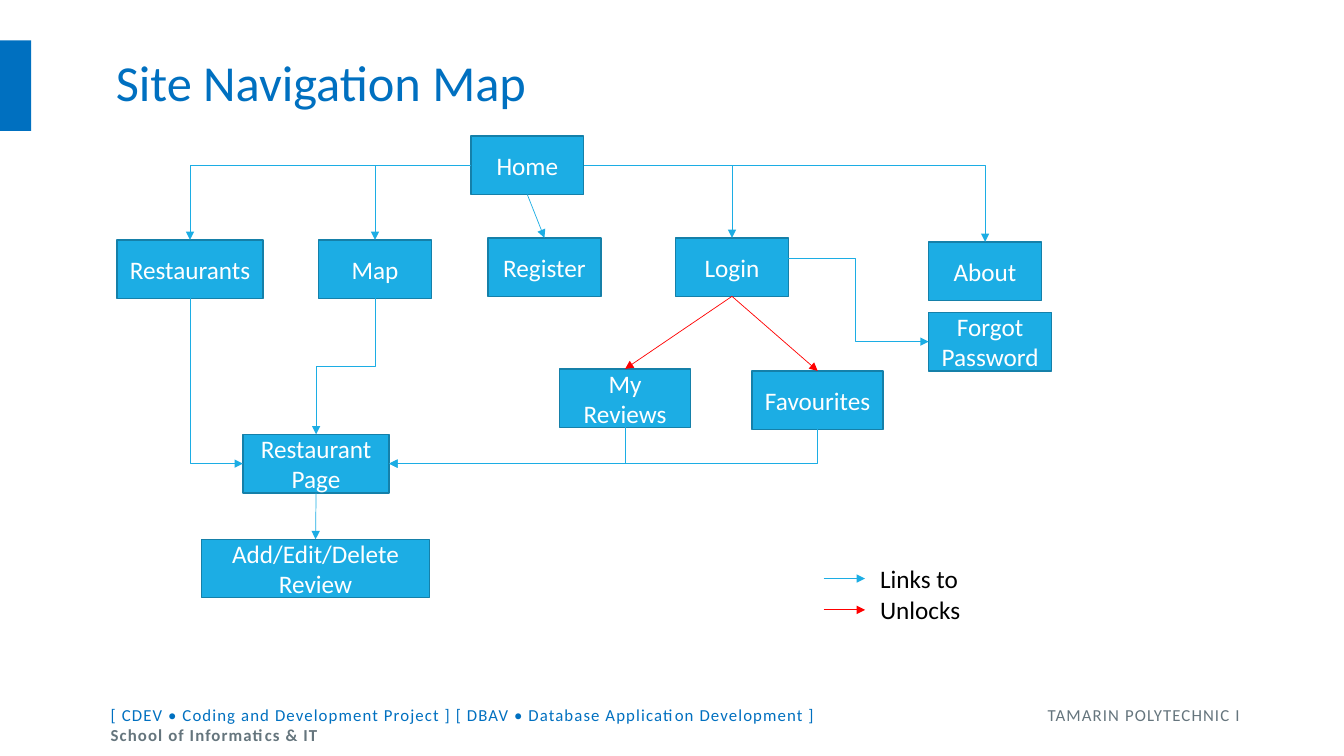
from lxml import etree
from pptx import Presentation
from pptx.dml.color import RGBColor
from pptx.enum import shapes, text
from pptx.oxml.ns import qn
from pptx.util import Inches, Pt

COLORS = {"title": "0070C0", "box": "1CADE4", "edge": "1580A9", "unlock": "FF0000",
          "gray": "65757D", "white": "FFFFFF", "black": "000000"}
TOP, LEFT, BOTTOM, RIGHT = range(4)
BOX_H = 0.58
BOXES = {
    "Home": (4.67, 1.35, 1.12),
    "Restaurants": (1.16, 2.38, 1.45),
    "Map": (3.16, 2.38, 1.12),
    "Register": (4.84, 2.36, 1.12),
    "Login": (6.7, 2.36, 1.12),
    "About": (9.21, 2.4, 1.12),
    "Forgot Password": (9.21, 3.1, 1.22),
    "My Reviews": (5.55, 3.66, 1.3),
    "Favourites": (7.46, 3.68, 1.3),
    "Restaurant\nPage": (2.41, 4.31, 1.45),
    "Add/Edit/Delete Review": (2, 5.35, 2.26),
}
PAGE = "Restaurant\nPage"
STRAIGHT = [
    ("Home", "Register", "box"),
    ("Login", "My Reviews", "unlock"),
    ("Login", "Favourites", "unlock"),
    (PAGE, "Add/Edit/Delete Review", "box"),
]
ELBOWS = [
    ("Home", LEFT, "Restaurants", TOP, 2),
    ("Home", LEFT, "Map", TOP, 2),
    ("Home", RIGHT, "Login", TOP, 2),
    ("Home", RIGHT, "About", TOP, 2),
    ("Restaurants", BOTTOM, PAGE, LEFT, 2),
    ("Map", BOTTOM, PAGE, TOP, 3),
    ("My Reviews", BOTTOM, PAGE, RIGHT, 2),
    ("Favourites", BOTTOM, PAGE, RIGHT, 2),
]
LEGEND = [("Links to", "box", 5.74), ("Unlocks", "unlock", 6.05)]


def rgb(name):
    """Return the named colour."""
    return RGBColor.from_string(COLORS[name])


def add_run(p, words, size, color, bold=False, spacing=0):
    """Append one formatted run to a paragraph."""
    r = p.add_run()
    r.text = words
    r.font.name, r.font.size, r.font.bold = "Calibri", Pt(size), bold
    r.font.color.rgb = rgb(color)
    if spacing:
        r.font._element.set("spc", str(round(spacing * 100)))


def add_textbox(s, x, y, w, h, wrap=True):
    """Add an empty text box and return its text frame."""
    tf = s.shapes.add_textbox(Inches(x), Inches(y), Inches(w), Inches(h)).text_frame
    tf.word_wrap = wrap
    return tf


def add_rect(s, x, y, w, h, fill, edge=None):
    """Add a flat rectangle, outlined when an edge colour is given."""
    sp = s.shapes.add_shape(shapes.MSO_SHAPE.RECTANGLE,
                            Inches(x), Inches(y), Inches(w), Inches(h))
    sp.shadow.inherit = False
    sp.fill.solid()
    sp.fill.fore_color.rgb = rgb(fill)
    if edge:
        sp.line.color.rgb = rgb(edge)
        sp.line.width = Pt(1)
    else:
        sp.line.fill.background()
    return sp


def add_page_box(s, label, x, y, w):
    """Add one site page as a labelled box."""
    sp = add_rect(s, x, y, w, BOX_H, "box", "edge")
    tf = sp.text_frame
    tf.word_wrap = True
    tf.vertical_anchor = text.MSO_ANCHOR.MIDDLE
    p = tf.paragraphs[0]
    p.alignment = text.PP_ALIGN.CENTER
    for i, line in enumerate(label.split("\n")):
        if i:
            p.add_line_break()
        add_run(p, line, 18, "white")
    return sp


def add_arrow(s, kind, color, start=(0, 0), end=(0, 0)):
    """Add a thin connector with a triangle at its end."""
    cx = s.shapes.add_connector(kind, *map(Inches, start + end))
    cx.line.color.rgb = rgb(color)
    cx.line.width = Pt(0.5)
    etree.SubElement(cx.line._get_or_add_ln(), qn("a:tailEnd"), type="triangle")
    etree.SubElement(cx._element.spPr, qn("a:effectLst"))
    return cx


def turn_down(cx):
    """Turn an elbow so that it leaves downwards."""
    dx, dy = cx.end_x - cx.begin_x, cx.end_y - cx.begin_y
    mid_x, mid_y = (cx.begin_x + cx.end_x) // 2, (cx.begin_y + cx.end_y) // 2
    xfrm = cx._element.spPr.find(qn("a:xfrm"))
    xfrm.attrib.clear()
    xfrm.set("rot", str((270 if dx > 0 else 90) * 60000))
    if dx > 0:
        xfrm.set("flipH", "1")
    cx.width, cx.height = abs(dy), abs(dx)
    cx.left, cx.top = mid_x - abs(dy) // 2, mid_y - abs(dx) // 2


def add_elbow(s, source, out_side, target, in_side, segments):
    """Join two boxes with an elbow of two or three segments."""
    cx = add_arrow(s, shapes.MSO_CONNECTOR.ELBOW, "box")
    cx.begin_connect(source, out_side)
    cx.end_connect(target, in_side)
    cx._element.spPr.find(qn("a:prstGeom")).set("prst", f"bentConnector{segments}")
    if out_side == BOTTOM:
        turn_down(cx)


def add_title(s):
    """Add the accent bar and the slide title."""
    add_rect(s, 0, 0.4, 0.31, 0.9, "title")
    tf = add_textbox(s, 1.05, 0.4, 11.3, 0.9)
    tf.vertical_anchor = text.MSO_ANCHOR.MIDDLE
    tf.paragraphs[0].line_spacing = 0.9
    add_run(tf.paragraphs[0], "Site Navigation Map", 36, "title")


def add_footer(s):
    """Add the two-line footer with a right-aligned tab stop."""
    tf = add_textbox(s, 1, 6.94, 11.63, 0.5)
    p = tf.paragraphs[0]
    tabs = etree.SubElement(p._p.get_or_add_pPr(), qn("a:tabLst"))
    etree.SubElement(tabs, qn("a:tab"), pos=str(Inches(11.2)), algn="r")
    add_run(p, "[ CDEV • Coding and Development Project ] "
               "[ DBAV • Database Application Development ]\t", 12, "title", spacing=0.8)
    add_run(p, "TAMARIN POLYTECHNIC I", 12, "gray", spacing=0.8)
    add_run(tf.add_paragraph(), "School of Informatics & IT", 12, "gray", True, 0.8)


def add_legend(s):
    """Explain the two arrow colours."""
    for label, color, y in LEGEND:
        add_arrow(s, shapes.MSO_CONNECTOR.STRAIGHT, color, (8.17, y), (8.58, y))
        tf = add_textbox(s, 8.63, y - 0.2, 1, 0.4, wrap=False)
        add_run(tf.paragraphs[0], label, 18, "black")


def main():
    """Build the site map slide."""
    prs = Presentation()
    prs.slide_width, prs.slide_height = Inches(13.33), Inches(7.5)
    s = prs.slides.add_slide(prs.slide_layouts[6])
    add_footer(s)
    add_title(s)
    pages = {label: add_page_box(s, label, *place) for label, place in BOXES.items()}
    for source, target, color in STRAIGHT:
        cx = add_arrow(s, shapes.MSO_CONNECTOR.STRAIGHT, color)
        cx.begin_connect(pages[source], BOTTOM)
        cx.end_connect(pages[target], TOP)
    for source, out_side, target, in_side, segments in ELBOWS:
        add_elbow(s, pages[source], out_side, pages[target], in_side, segments)
    forgot = add_arrow(s, shapes.MSO_CONNECTOR.ELBOW, "box", (7.76, 2.56), (9.21, 3.39))
    forgot.end_connect(pages["Forgot Password"], LEFT)
    add_legend(s)
    prs.save("out.pptx")


main()
